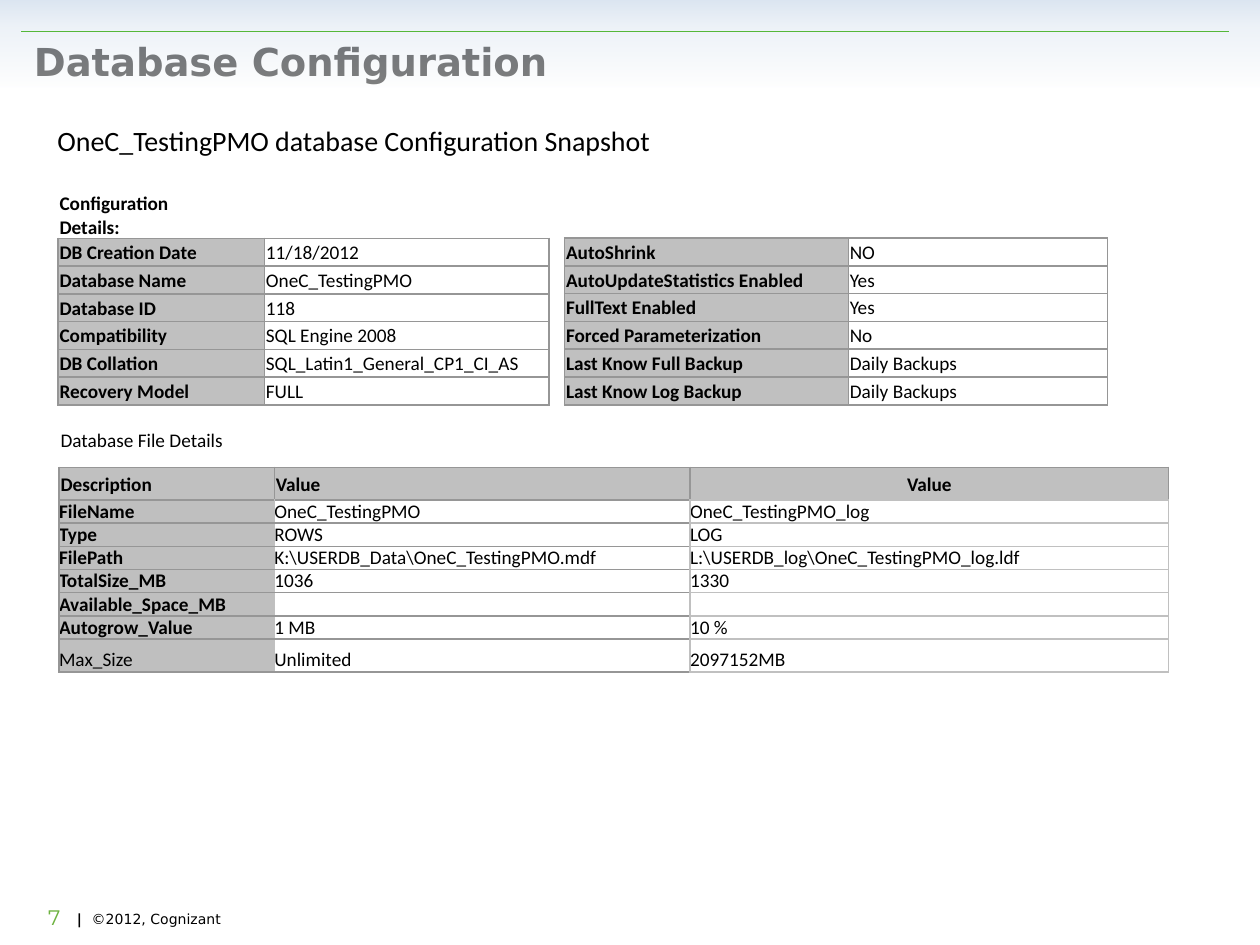
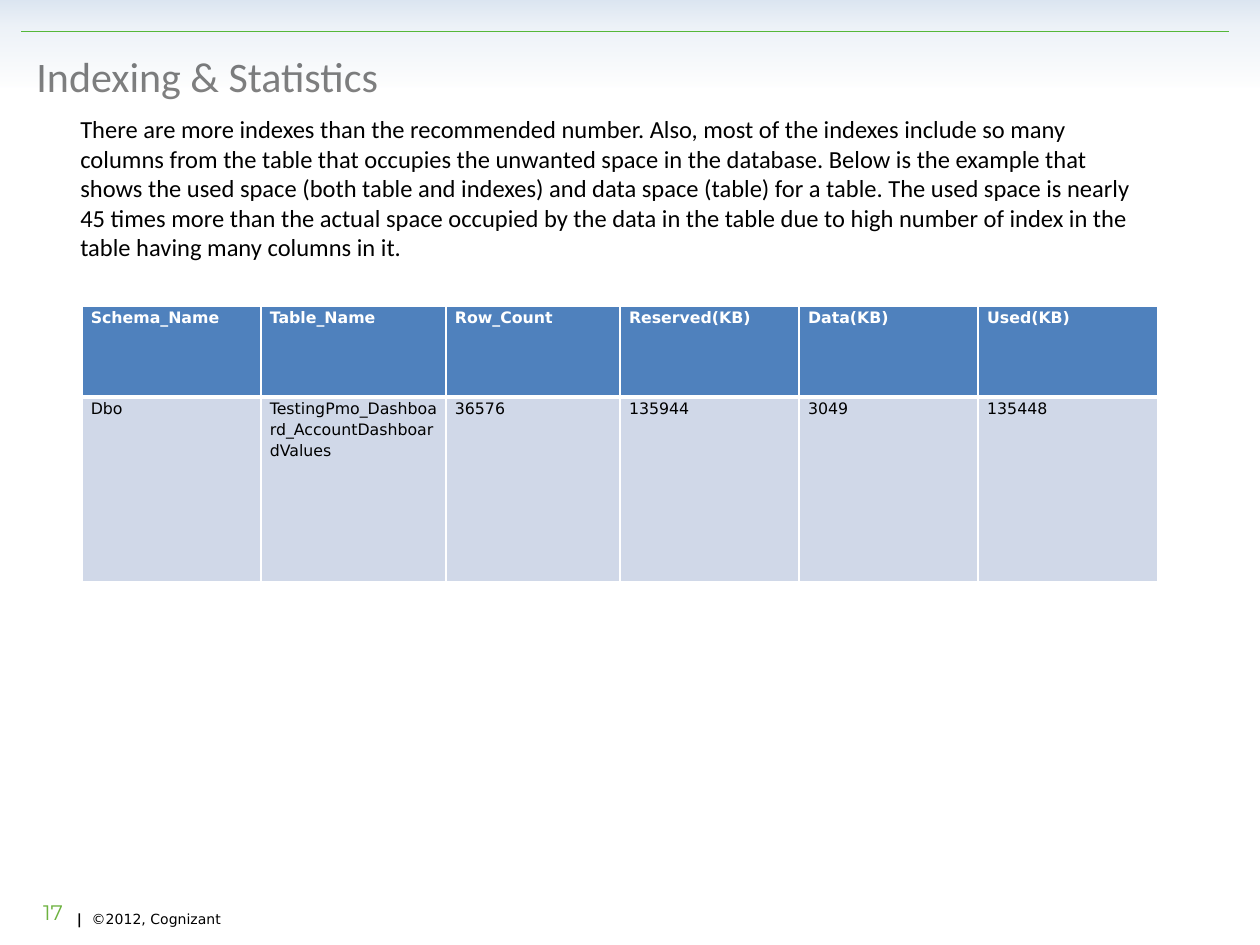
from dataclasses import dataclass, replace

from lxml.etree import SubElement
from pptx import Presentation
from pptx.dml.color import RGBColor
from pptx.enum.shapes import MSO_CONNECTOR, MSO_SHAPE
from pptx.enum.text import MSO_ANCHOR, PP_ALIGN
from pptx.oxml import parse_xml
from pptx.oxml.ns import nsdecls, qn
from pptx.util import Cm, Pt


@dataclass(frozen=True)
class Theme:
    black: str = "000000"
    white: str = "FFFFFF"
    rule_green: str = "55B738"
    number_green: str = "6DB23F"
    dark_edge: str = "969696"
    light_edge: str = "C0C0C0"
    label_fill: str = "C0C0C0"
    file_label_fill: str = "BFBFBF"
    header_blue: str = "4F81BD"
    body_blue: str = "D0D8E8"
    band_stops: tuple = ((0, "B9CDE5"), (25, "DCE6F2"), (84, "FFFFFF"))
    sans: str = "DejaVu Sans"
    text: str = "Calibri"
    number: str = "Montserrat"
    bold_title_size: int = 22
    title_size: int = 24
    subtitle_size: int = 16
    body_size: int = 14
    number_size: int = 12
    cell_size: int = 11
    small_cell_size: int = 9
    footer_size: int = 8


THEME = Theme()


@dataclass(frozen=True)
class Look:
    """Appearance of one table cell; edges run left, right, top, bottom."""
    fill: str = THEME.white
    edges: tuple = (THEME.dark_edge,) * 4
    bottom_width: float = 1
    bold: bool = False
    colour: str = THEME.black
    font: str = THEME.text
    size: int = THEME.cell_size
    anchor: MSO_ANCHOR = MSO_ANCHOR.MIDDLE
    align: PP_ALIGN = PP_ALIGN.LEFT
    insets: tuple = (0.03, 0.03, 0.03, 0)
    spacing: float = 1.0


VALUE = Look()
LABEL = replace(VALUE, fill=THEME.label_fill, bold=True)
CAPTION = replace(VALUE, edges=(None, None, None, THEME.dark_edge))
FILE_CELL = replace(VALUE, anchor=MSO_ANCHOR.BOTTOM, insets=(0, 0, 0, 0))
FILE_LABEL = replace(FILE_CELL, fill=THEME.file_label_fill, bold=True,
                     edges=(THEME.dark_edge, THEME.light_edge) + (THEME.dark_edge,) * 2)
FILE_DATA = replace(FILE_CELL, edges=(THEME.light_edge,) * 2 + (THEME.dark_edge,) * 2)
FILE_LOG = replace(FILE_CELL, edges=(THEME.light_edge,) * 4)
SPACE_BODY = Look(fill=THEME.body_blue, edges=(THEME.white,) * 4, font=THEME.sans,
                  size=THEME.small_cell_size, anchor=MSO_ANCHOR.TOP,
                  insets=(0.18, 0, 0.18, 0), spacing=1.15)
SPACE_HEADER = replace(SPACE_BODY, fill=THEME.header_blue, colour=THEME.white,
                       bold=True, bottom_width=3)


class SlideBuilder:
    def __init__(self, deck, theme):
        self.deck = deck
        self.theme = theme
        self.page = None

    def start(self, number, number_at):
        """Add a slide with the shared band, rule, footer and slide number."""
        self.page = self.deck.slides.add_slide(self.deck.slide_layouts[5])
        self.band()
        self.rule()
        self.footer()
        box = self.text(str(number), (*number_at, 1.27, 1.27), self.theme.number_size,
                        self.theme.number, self.theme.number_green)
        para = box.text_frame.paragraphs[0]
        para.alignment = PP_ALIGN.RIGHT
        para.line_spacing = 1.1

    def style(self, para, size, font, colour, bold=False):
        para.font.size = Pt(size)
        para.font.name = font
        para.font.bold = bold
        para.font.color.rgb = RGBColor.from_string(colour)

    def band(self):
        band = self.page.shapes.add_shape(MSO_SHAPE.RECTANGLE, 0, 0, Cm(25.4), Cm(2.11))
        band.shadow.inherit = False
        band.line.fill.background()
        stops = "".join(
            f'<a:gs pos="{place * 1000}"><a:srgbClr val="{colour}">'
            '<a:alpha val="50000"/></a:srgbClr></a:gs>'
            for place, colour in self.theme.band_stops)
        gradient = parse_xml(f'<a:gradFill {nsdecls("a")}><a:gsLst>{stops}</a:gsLst>'
                             '<a:lin ang="5400000" scaled="0"/></a:gradFill>')
        band.element.spPr.find(qn("a:prstGeom")).addnext(gradient)

    def rule(self):
        rule = self.page.shapes.add_connector(MSO_CONNECTOR.STRAIGHT, Cm(0.43), Cm(0.64),
                                              Cm(24.77), Cm(0.64))
        rule.line.color.rgb = RGBColor.from_string(self.theme.rule_green)
        rule.line.width = Pt(0.75)
        SubElement(rule.element.spPr, qn("a:effectLst"))

    def footer(self):
        box = self.text("", (1.3, 17.93, 13.72, 0.64), self.theme.footer_size, self.theme.sans)
        para = box.text_frame.paragraphs[0]
        para.line_spacing = 1.9
        tabs = parse_xml(f'<a:tabLst {nsdecls("a")}><a:tab pos="{Cm(0.3)}" algn="l"/></a:tabLst>')
        para.font  # ensures the default run properties that the tab list precedes
        para._p.pPr.find(qn("a:defRPr")).addprevious(tabs)
        for words, bold in (("|\t", True), ("©2012, Cognizant", False)):
            span = para.add_run()
            span.text = words
            span.font.bold = bold

    def title(self, words, at, size, font, bold=False):
        title = self.page.shapes.title
        title.left, title.top, title.width, title.height = map(Cm, at)
        frame = title.text_frame
        frame.text = words
        frame.vertical_anchor = MSO_ANCHOR.MIDDLE
        para = frame.paragraphs[0]
        para.alignment = PP_ALIGN.LEFT
        self.style(para, size, font, self.theme.black, bold)

    def text(self, words, at, size, font=THEME.text, colour=THEME.black):
        box = self.page.shapes.add_textbox(*map(Cm, at))
        box.text_frame.word_wrap = True
        para = box.text_frame.paragraphs[0]
        para.text = words
        self.style(para, size, font, colour)
        return box

    def cell(self, cell, words, look):
        properties = cell._tc.get_or_add_tcPr()
        for side, colour in zip("LRTB", look.edges):
            if colour:
                width = Pt(look.bottom_width if side == "B" else 1)
                properties.append(parse_xml(
                    f'<a:ln{side} {nsdecls("a")} w="{width}"><a:solidFill>'
                    f'<a:srgbClr val="{colour}"/></a:solidFill></a:ln{side}>'))
        cell.fill.solid()
        cell.fill.fore_color.rgb = RGBColor.from_string(look.fill)
        cell.vertical_anchor = look.anchor
        (cell.margin_left, cell.margin_top,
         cell.margin_right, cell.margin_bottom) = map(Cm, look.insets)
        para = cell.text_frame.paragraphs[0]
        para.alignment = look.align
        para.line_spacing = look.spacing
        if words:
            para.text = words
        else:
            SubElement(para._p, qn("a:endParaRPr"), sz=str(look.size * 100))
        self.style(para, look.size, look.font, look.colour, look.bold)

    def table(self, at, widths, heights, rows, look_for):
        """Fill a table; look_for(row, column) gives each cell's Look."""
        frame = self.page.shapes.add_table(len(heights), len(widths), *map(Cm, at),
                                           Cm(sum(widths)), Cm(sum(heights)))
        table = frame.table
        table.first_row = table.horz_banding = False
        for column, width in zip(table.columns, widths):
            column.width = Cm(width)
        for line, height in zip(table.rows, heights):
            line.height = Cm(height)
        for r, words in enumerate(rows):
            for c, value in enumerate(words):
                self.cell(table.cell(r, c), value, look_for(r, c))
        return table


def file_look(row, column):
    if row == 0:
        return CAPTION if column else replace(CAPTION, anchor=MSO_ANCHOR.TOP)
    if row == 1:
        if column < 2:
            return LABEL
        return replace(LABEL, align=PP_ALIGN.CENTER,
                       edges=(THEME.dark_edge,) * 3 + (THEME.light_edge,))
    if column == 0:
        return replace(FILE_LABEL, bold=row < 8)
    return FILE_DATA if column == 1 else FILE_LOG


def configuration_slide(builder):
    builder.start(7, (0.2, 18.06))
    builder.title("Database Configuration", (0.43, 0.64, 23.93, 1.19),
                  THEME.bold_title_size, THEME.sans, bold=True)
    builder.text("OneC_TestingPMO database Configuration Snapshot",
                 (0.91, 2.36, 14.45, 1.12), THEME.subtitle_size)

    details = [
        ("DB Creation Date", "11/18/2012"),
        ("Database Name", "OneC_TestingPMO"),
        ("Database ID", "118"),
        ("Compatibility", "SQL Engine 2008"),
        ("DB Collation", "SQL_Latin1_General_CP1_CI_AS"),
        ("Recovery Model", "FULL"),
    ]
    label_span, value_span = 3, 7
    rows = [["Configuration Details:"] + [""] * 9]
    rows += [[label, "", "", value] + [""] * (value_span - 1) for label, value in details]

    def detail_look(row, column):
        if row == 0:
            return replace(CAPTION, bold=True)
        return LABEL if column < label_span else VALUE

    table = builder.table((1.17, 3.84), [3.18, 0.13] + [0.82] * 8,
                          [0.71] + [0.56] * 6, rows, detail_look)
    for row in range(1, len(rows)):
        table.cell(row, 0).merge(table.cell(row, label_span - 1))
        table.cell(row, label_span).merge(table.cell(row, label_span + value_span - 1))

    files = [
        ("Database File Details", "", ""),
        ("Description", "Value", "Value"),
        ("FileName", "OneC_TestingPMO", "OneC_TestingPMO_log"),
        ("Type", "ROWS", "LOG"),
        ("FilePath", r"K:\USERDB_Data\OneC_TestingPMO.mdf", r"L:\USERDB_log\OneC_TestingPMO_log.ldf"),
        ("TotalSize_MB", "1036", "1330"),
        ("Available_Space_MB", "", ""),
        ("Autogrow_Value", "1 MB", "10 %"),
        ("Max_Size", "Unlimited", "2097152MB"),
    ]
    table = builder.table((1.19, 8.61), [4.34, 8.38, 9.65],
                          [0.81, 0.66] + [0.38] * 6 + [0.66], files, file_look)
    table.cell(0, 0).merge(table.cell(0, 2))

    options = [
        ("AutoShrink", "NO"),
        ("AutoUpdateStatistics Enabled", "Yes"),
        ("FullText Enabled", "Yes"),
        ("Forced Parameterization", "No"),
        ("Last Know Full Backup", "Daily Backups"),
        ("Last Know Log Backup", "Daily Backups"),
    ]
    builder.table((11.38, 4.8), [5.72, 5.23], [0.56] * 6, options,
                  lambda row, column: VALUE if column else LABEL)


def indexing_slide(builder):
    builder.start(17, (0.25, 17.96))
    builder.title("Indexing & Statistics", (0.48, 0.89, 23.93, 1.27),
                  THEME.title_size, THEME.text)
    builder.text(
        "There are more indexes than the recommended number. Also, most of the indexes "
        "include so many columns from the table that occupies the unwanted space in the "
        "database. Below is the example that shows the used space (both table and indexes) "
        "and data space (table) for a table. The used space is nearly 45 times more than "
        "the actual space occupied by the data in the table due to high number of index in "
        "the table having many columns in it.",
        (1.37, 2.18, 21.95, 3.25), THEME.body_size)
    usage = [
        ("Schema_Name", "Table_Name", "Row_Count", "Reserved(KB)", "Data(KB)", "Used(KB)"),
        ("Dbo", "TestingPmo_Dashboard_AccountDashboardValues", "36576", "135944", "3049", "135448"),
    ]
    builder.table((1.65, 6.17), [3.61, 3.73, 3.51] + [3.61] * 3, [1.83, 3.73], usage,
                  lambda row, column: SPACE_BODY if row else SPACE_HEADER)


def main():
    deck = Presentation()
    deck.slide_width, deck.slide_height = Cm(25.4), Cm(19.05)
    builder = SlideBuilder(deck, THEME)
    configuration_slide(builder)
    indexing_slide(builder)
    deck.save("out.pptx")


if __name__ == "__main__":
    main()
